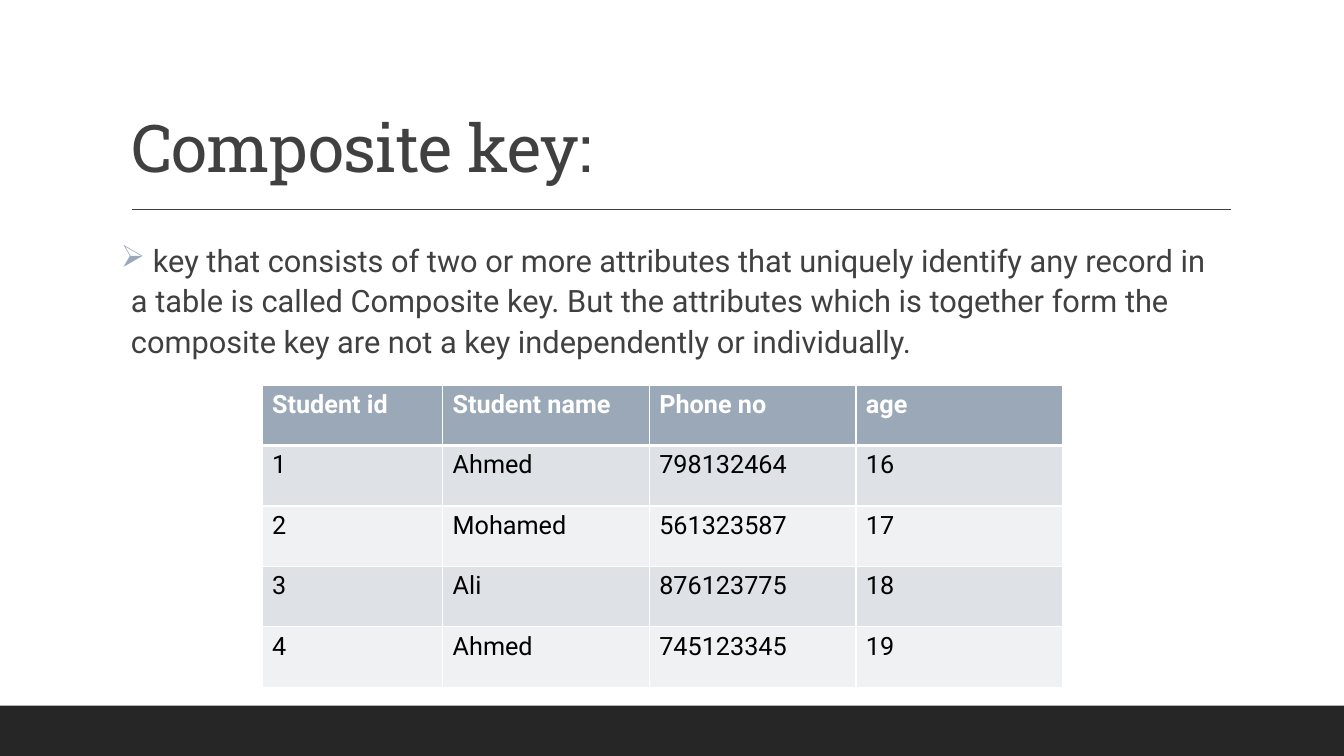
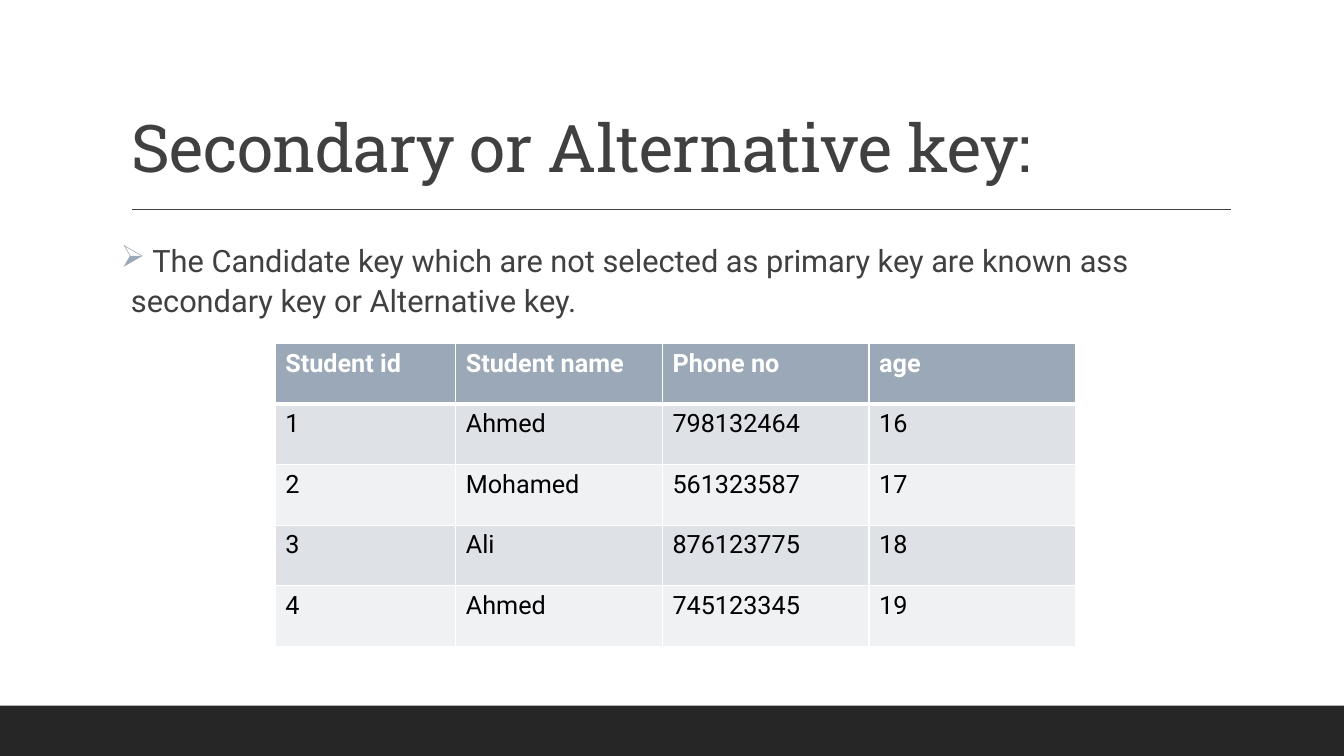
from lxml import etree
from pptx import Presentation
from pptx.dml.color import RGBColor
from pptx.enum.shapes import MSO_CONNECTOR, MSO_SHAPE
from pptx.enum.text import MSO_ANCHOR, MSO_AUTO_SIZE, PP_ALIGN
from pptx.oxml.ns import qn
from pptx.util import Pt

STRAIGHT = MSO_CONNECTOR.STRAIGHT
RECTANGLE = MSO_SHAPE.RECTANGLE
TOP, BOTTOM = MSO_ANCHOR.TOP, MSO_ANCHOR.BOTTOM
NO_FIT = MSO_AUTO_SIZE.NONE
LEFT = PP_ALIGN.LEFT

WIDTH, HEIGHT = 960, 540
BAND_HEIGHT = 36
MARGIN, CONTENT_WIDTH = 86.4, 792
TITLE_FONT, BODY_FONT = "Roboto Slab", "Roboto"
INK, BAND, ACCENT = "404040", "262626", "9BA8B7"
WHITE, BLACK = "FFFFFF", "000000"
ROW_FILLS = ["DEE1E6", "EFF1F3"]
COLUMN_WIDTHS = [129, 147.6, 147.6, 147.6]
ROW_HEIGHT = 43.2

STUDENTS = [
    ["Student id", "Student name", "Phone no", "age"],
    ["1", "Ahmed", "798132464", "16"],
    ["2", "Mohamed", "561323587", "17"],
    ["3", "Ali", "876123775", "18"],
    ["4", "Ahmed", "745123345", "19"],
]
SLIDES = [
    ("Composite key:",
     " key that consists of two or more attributes that uniquely identify any "
     "record in a table is called Composite key. But the attributes which is "
     "together form the composite key are not a key independently or individually.",
     (187.2, 275)),
    ("Secondary or Alternative key:",
     " The Candidate key which are not selected as primary key are known ass "
     "secondary key or Alternative key.",
     (196.6, 245.6)),
]


def color(value):
    """Turn a hex string into a colour."""
    return RGBColor.from_string(value)


def write(tf, text, size, font=BODY_FONT, ink=INK, bold=False, line=None,
          before=None, after=None, tracking=None):
    """Put one formatted paragraph in a text frame and return it."""
    p = tf.paragraphs[0]
    p.alignment = LEFT
    if line is not None:
        p.line_spacing = line
    if before is not None:
        p.space_before = Pt(before)
    if after is not None:
        p.space_after = Pt(after)
    r = p.add_run()
    r.text = text
    r.font.size = Pt(size)
    r.font.name = font
    r.font.bold = bold
    r.font.color.rgb = color(ink)
    if tracking is not None:
        r.font._element.set("spc", str(round(tracking * 100)))
    return p


def add_bullet(p, char, ink, indent):
    """Give a paragraph a coloured hanging bullet."""
    pPr = p._p.get_or_add_pPr()
    pPr.set("marL", str(Pt(indent)))
    pPr.set("indent", str(-Pt(indent)))
    bullet_color = etree.SubElement(pPr, qn("a:buClr"))
    etree.SubElement(bullet_color, qn("a:srgbClr"), val=ink)
    etree.SubElement(pPr, qn("a:buChar"), char=char)


def add_frame(s):
    """Draw the bottom band and the rule under the title."""
    band = s.shapes.add_shape(RECTANGLE, 0, Pt(HEIGHT - BAND_HEIGHT),
                              Pt(WIDTH), Pt(BAND_HEIGHT))
    band.shadow.inherit = False
    band.fill.solid()
    band.fill.fore_color.rgb = color(BAND)
    band.line.fill.background()
    rule = s.shapes.add_connector(STRAIGHT, Pt(94.5), Pt(149.6), Pt(879), Pt(149.6))
    rule.line.color.rgb = color(INK)
    rule.line.width = Pt(1)
    etree.SubElement(rule._element.spPr, qn("a:effectLst"))


def set_title(s, text):
    """Place and format the title."""
    title = s.shapes.title
    title.left, title.top = Pt(MARGIN), Pt(22.4)
    title.width, title.height = Pt(CONTENT_WIDTH), Pt(114.4)
    tf = title.text_frame
    tf.auto_size = NO_FIT
    tf.word_wrap = True
    tf.vertical_anchor = BOTTOM
    write(tf, text, 47, font=TITLE_FONT, line=0.9, tracking=-0.5)


def add_definition(s, text):
    """Add the bulleted definition under the title."""
    box = s.shapes.add_textbox(Pt(MARGIN), Pt(166.4), Pt(CONTENT_WIDTH), Pt(296))
    tf = box.text_frame
    tf.word_wrap = True
    tf.vertical_anchor = TOP
    tf.margin_left = tf.margin_right = 0
    p = write(tf, text, 22, line=1.1, before=12, after=2)
    add_bullet(p, "➢", ACCENT, 7.2)


def set_borders(cell, top, bottom):
    """Give a cell white borders of the given top and bottom widths."""
    tcPr = cell._tc.get_or_add_tcPr()
    for side, width in (("L", 1), ("R", 1), ("T", top), ("B", bottom)):
        ln = etree.SubElement(tcPr, qn("a:ln" + side), w=str(Pt(width)))
        fill = etree.SubElement(ln, qn("a:solidFill"))
        etree.SubElement(fill, qn("a:srgbClr"), val=WHITE)


def add_table(s, left, top, rows):
    """Add a table with a header row and alternating row fills."""
    frame = s.shapes.add_table(len(rows), len(COLUMN_WIDTHS), Pt(left), Pt(top),
                               Pt(sum(COLUMN_WIDTHS)), Pt(ROW_HEIGHT * len(rows)))
    table = frame.table
    for column, width in zip(table.columns, COLUMN_WIDTHS):
        column.width = Pt(width)
    for i, values in enumerate(rows):
        table.rows[i].height = Pt(ROW_HEIGHT)
        header = i == 0
        for j, value in enumerate(values):
            cell = table.cell(i, j)
            set_borders(cell, top=3 if i == 1 else 1, bottom=3 if header else 1)
            cell.fill.solid()
            cell.fill.fore_color.rgb = color(ACCENT if header else ROW_FILLS[(i - 1) % 2])
            write(cell.text_frame, value, 18, ink=WHITE if header else BLACK, bold=header)


def main():
    """Build and save the presentation."""
    prs = Presentation()
    prs.slide_width, prs.slide_height = Pt(WIDTH), Pt(HEIGHT)
    for title, definition, (left, top) in SLIDES:
        s = prs.slides.add_slide(prs.slide_layouts[5])
        add_frame(s)
        set_title(s, title)
        add_definition(s, definition)
        add_table(s, left, top, STUDENTS)
    prs.save("out.pptx")


if __name__ == "__main__":
    main()
